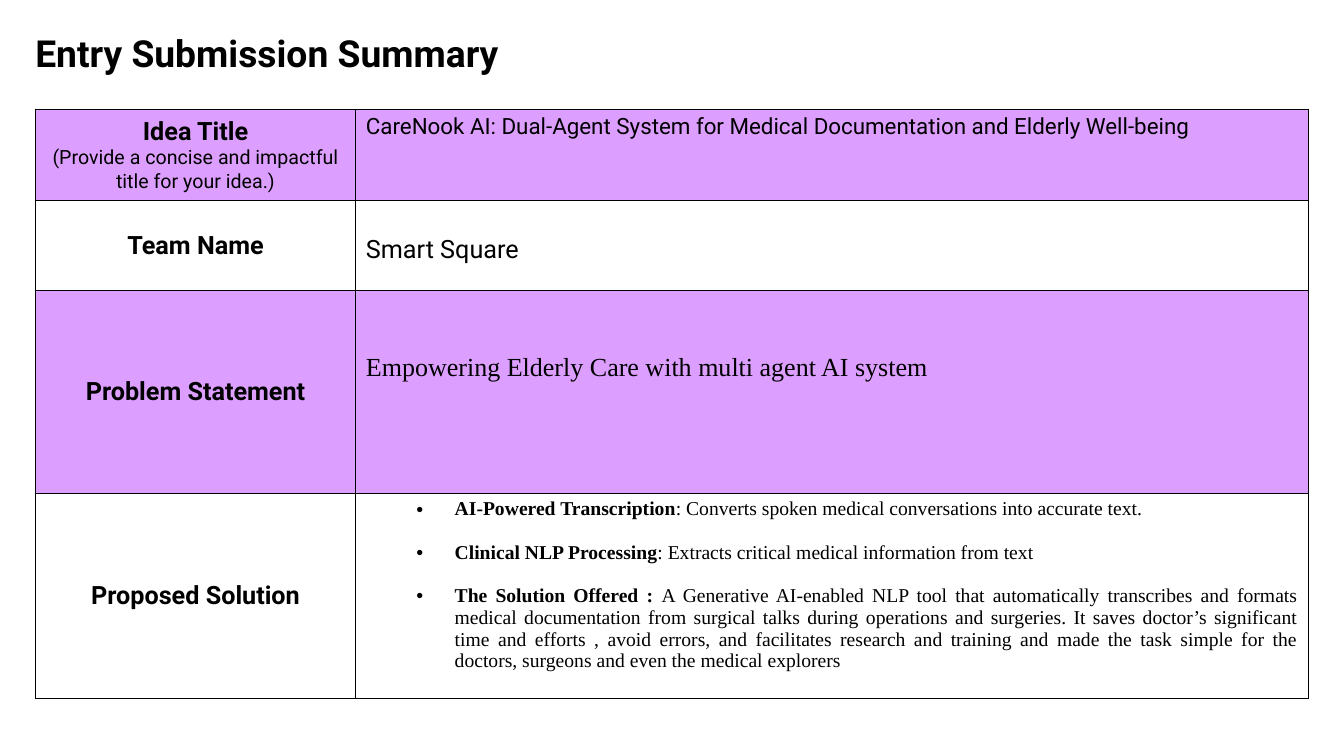
from dataclasses import dataclass

from lxml import etree
from pptx import Presentation
from pptx import util as u
from pptx.dml import color
from pptx.enum import text
from pptx.oxml import ns


@dataclass(frozen=True)
class Theme:
    sans: str = "Roboto"
    serif: str = "Times New Roman"
    ink: str = "000000"
    violet: str = "DD9FFF"
    white: str = "FFFFFF"
    title: float = 26.6
    label: float = 18
    statement: float = 18.6
    idea: float = 16
    small: float = 14


THEME = Theme()
COLUMNS = [229, 680.4]
ROWS = [65.5, 64, 145, 146.5]
SOLUTION = [
    ("AI-Powered Transcription",
     ": Converts spoken medical conversations into accurate text."),
    ("Clinical NLP Processing",
     ": Extracts critical medical information from text"),
    ("The Solution Offered : ",
     "A Generative AI-enabled NLP tool that automatically transcribes and formats "
     "medical documentation from surgical talks during operations and surgeries. "
     "It saves doctor’s significant time and efforts , avoid errors, and facilitates "
     "research and training and made the task simple for the doctors, surgeons and "
     "even the medical explorers"),
]


def add_run(p, content, size=THEME.label, font=THEME.sans, bold=False):
    r = p.add_run()
    r.text = content
    r.font.size = u.Pt(size)
    r.font.name = font
    r.font.bold = bold
    r.font.color.rgb = color.RGBColor.from_string(THEME.ink)


def add_bullet(p):
    pPr = p._p.get_or_add_pPr()
    pPr.set("marL", str(u.Pt(63.4)))
    pPr.set("indent", str(u.Pt(-27.4)))
    clr = etree.SubElement(pPr, ns.qn("a:buClr"))
    etree.SubElement(clr, ns.qn("a:srgbClr"), val=THEME.ink)
    etree.SubElement(pPr, ns.qn("a:buFont"), typeface="Arial")
    etree.SubElement(pPr, ns.qn("a:buChar"), char="•")


def add_borders(cell):
    tcPr = cell._tc.get_or_add_tcPr()
    for i, side in enumerate(("lnL", "lnR", "lnT", "lnB")):
        ln = etree.Element(ns.qn(f"a:{side}"), w=str(u.Pt(1)))
        fill = etree.SubElement(ln, ns.qn("a:solidFill"))
        etree.SubElement(fill, ns.qn("a:srgbClr"), val=THEME.ink)
        tcPr.insert(i, ln)


def add_title(s, content):
    sp = s.shapes.title
    sp.left, sp.top, sp.width, sp.height = map(u.Pt, (25.2, 28, 885, 67))
    tf = sp.text_frame
    tf.margin_left = tf.margin_top = tf.margin_bottom = 0
    tf.margin_right = u.Pt(9.4)
    tf.word_wrap = True
    tf.auto_size = text.MSO_AUTO_SIZE.NONE
    tf.vertical_anchor = text.MSO_ANCHOR.TOP
    p = tf.paragraphs[0]
    p.alignment = text.PP_ALIGN.LEFT
    p.line_spacing = 0.8
    add_run(p, content, size=THEME.title, bold=True)


def add_grid(s):
    table = s.shapes.add_table(
        len(ROWS), len(COLUMNS), u.Pt(25.2), u.Pt(78),
        u.Pt(sum(COLUMNS)), u.Pt(sum(ROWS))).table
    table.first_row = table.horz_banding = False
    for column, width in zip(table.columns, COLUMNS):
        column.width = u.Pt(width)
    for i, (row, height) in enumerate(zip(table.rows, ROWS)):
        row.height = u.Pt(height)
        for cell in row.cells:
            cell.fill.solid()
            cell.fill.fore_color.rgb = color.RGBColor.from_string(
                THEME.white if i % 2 else THEME.violet)
            add_borders(cell)
    return table


def fill_label(cell, label, hint=None):
    cell.vertical_anchor = text.MSO_ANCHOR.MIDDLE
    p = cell.text_frame.paragraphs[0]
    p.alignment = text.PP_ALIGN.CENTER
    add_run(p, label, bold=True)
    if hint:
        p.add_line_break()
        add_run(p, hint, size=THEME.small)


def fill_answer(cell, content, top=3.6, **fmt):
    cell.margin_top = u.Pt(top)
    add_run(cell.text_frame.paragraphs[0], content, **fmt)


def fill_solution(cell):
    tf = cell.text_frame
    for i, (lead, detail) in enumerate(SOLUTION):
        p = tf.add_paragraph() if i else tf.paragraphs[0]
        p.alignment = text.PP_ALIGN.JUSTIFY
        p.space_before = u.Pt(15.5 if i else 0)
        add_bullet(p)
        add_run(p, lead, size=THEME.small, font=THEME.serif, bold=True)
        add_run(p, detail, size=THEME.small, font=THEME.serif)


def main():
    prs = Presentation()
    prs.slide_width, prs.slide_height = u.Pt(960), u.Pt(540)
    s = prs.slides.add_slide(prs.slide_layouts[5])
    add_title(s, "Entry Submission Summary")
    table = add_grid(s)
    fill_label(table.cell(0, 0), "Idea Title",
               "(Provide a concise and impactful title for your idea.)")
    for i, label in enumerate(
            ("Team Name", "Problem Statement", "Proposed Solution"), start=1):
        fill_label(table.cell(i, 0), label)
    fill_answer(table.cell(0, 1),
                "CareNook AI: Dual-Agent System for Medical Documentation "
                "and Elderly Well-being", size=THEME.idea)
    fill_answer(table.cell(1, 1), "Smart Square", top=24.7)
    fill_answer(table.cell(2, 1), "Empowering Elderly Care with multi agent AI system",
                top=45, size=THEME.statement, font=THEME.serif)
    fill_solution(table.cell(3, 1))
    prs.save("out.pptx")


if __name__ == "__main__":
    main()
